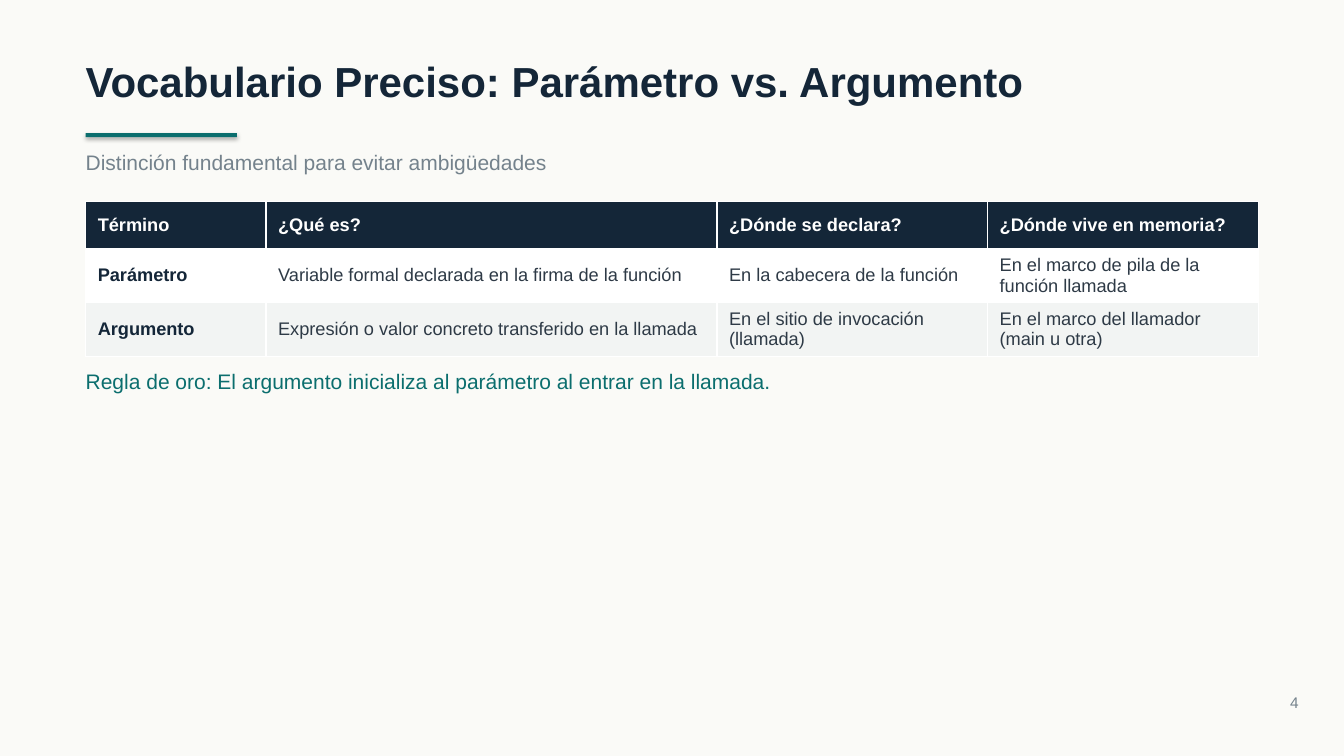
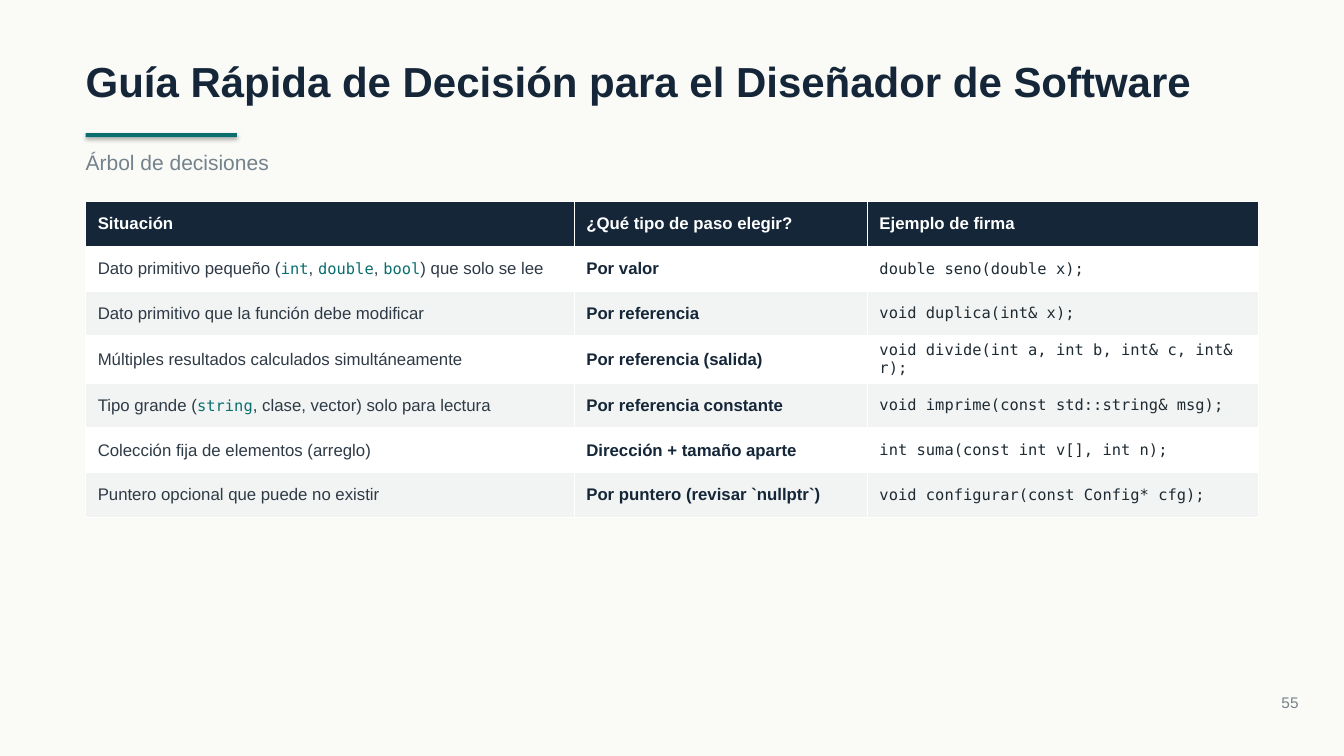
import pptx
import pptx.dml.color
import pptx.enum.shapes
import pptx.enum.text
import pptx.oxml
import pptx.oxml.ns
import pptx.util

Inches = pptx.util.Inches
RGBColor = pptx.dml.color.RGBColor
PP_ALIGN = pptx.enum.text.PP_ALIGN

CREAM = RGBColor(0xFA, 0xFA, 0xF7)
NAVY = RGBColor(0x14, 0x26, 0x38)
TEAL = RGBColor(0x0B, 0x6E, 0x6E)
GRAY = RGBColor(0x74, 0x82, 0x8C)
SLATE = RGBColor(0x2E, 0x3A, 0x46)
INK = RGBColor(0x1E, 0x2B, 0x33)
WHITE = RGBColor(0xFF, 0xFF, 0xFF)
MIST = RGBColor(0xF2, 0xF4, 0xF3)

SANS = "Arial"
MONO = "DejaVu Sans Mono"
LEFT = 0.85
WIDTH = 11.63
TABLE_TOP = 2


def add_span(para, text, size=12, color=SLATE, bold=False, font=SANS):
    span = para.add_run()
    span.text = text
    span.font.size = pptx.util.Pt(size)
    span.font.name = font
    span.font.bold = bold
    span.font.color.rgb = color


def add_borders(cell):
    properties = cell._tc.get_or_add_tcPr()
    for side in ("lnL", "lnR", "lnT", "lnB"):
        properties.append(pptx.oxml.parse_xml(
            f'<a:{side} {pptx.oxml.ns.nsdecls("a")} w="12192"><a:solidFill>'
            f'<a:srgbClr val="{WHITE}"/></a:solidFill></a:{side}>'))


class Slides:
    """Holds the deck, its style and the current page."""

    def __init__(self):
        self.deck = pptx.Presentation()
        self.deck.slide_width = Inches(13.33)
        self.deck.slide_height = Inches(7.5)
        self.page = None

    def start_page(self, title, subtitle, number):
        self.page = self.deck.slides.add_slide(self.deck.slide_layouts[6])
        background = self.page.background.fill
        background.solid()
        background.fore_color.rgb = CREAM
        self.text(title, 0.55, height=0.5, size=30, color=NAVY, bold=True)
        self.accent_bar()
        self.text(subtitle, 1.48, size=15, color=GRAY)
        self.text(str(number), 6.88, left=11.98, width=0.9, height=0.18,
                  align=PP_ALIGN.RIGHT, size=11, color=GRAY)

    def text(self, text, top, left=LEFT, width=WIDTH, height=0.25,
             align=PP_ALIGN.LEFT, **style):
        box = self.page.shapes.add_textbox(
            Inches(left), Inches(top), Inches(width), Inches(height))
        frame = box.text_frame
        frame.word_wrap = True
        frame.auto_size = pptx.enum.text.MSO_AUTO_SIZE.SHAPE_TO_FIT_TEXT
        frame.margin_left = frame.margin_right = 0
        frame.margin_top = frame.margin_bottom = 0
        para = frame.paragraphs[0]
        para.alignment = align
        add_span(para, text, **style)

    def accent_bar(self):
        """Draws the bar under the title, with the soft shadow of the theme."""
        bar = self.page.shapes.add_shape(
            pptx.enum.shapes.MSO_SHAPE.RECTANGLE,
            Inches(LEFT), Inches(1.32), Inches(1.5), Inches(0.04))
        bar.fill.solid()
        bar.fill.fore_color.rgb = TEAL
        bar.line.fill.background()

    def table(self, rows, height, shares, styles, size):
        """Takes column widths as shares and one body style per column."""
        table = self.page.shapes.add_table(
            len(rows), len(shares), Inches(LEFT), Inches(TABLE_TOP),
            Inches(WIDTH), Inches(height)).table
        for column, share in zip(table.columns, shares):
            column.width = Inches(WIDTH * share / sum(shares))
        for row in table.rows:
            row.height = Inches(height / len(rows))
        header = dict(color=WHITE, bold=True)
        for i, row in enumerate(rows):
            fill = NAVY if i == 0 else WHITE if i % 2 else MIST
            for j, content in enumerate(row):
                style = header if i == 0 else styles[j]
                self.cell(table.cell(i, j), content, fill,
                          {"size": size, **style})

    def cell(self, cell, content, fill, style):
        """Fills a cell; in a tuple every second part is inline code."""
        cell.margin_left = cell.margin_right = Inches(0.12)
        cell.margin_top = cell.margin_bottom = Inches(0.05)
        cell.vertical_anchor = pptx.enum.text.MSO_ANCHOR.MIDDLE
        add_borders(cell)
        cell.fill.solid()
        cell.fill.fore_color.rgb = fill
        para = cell.text_frame.paragraphs[0]
        parts = content if isinstance(content, tuple) else (content,)
        for k, part in enumerate(parts):
            add_span(para, part, **(INLINE_CODE if k % 2 else style))


INLINE_CODE = dict(size=11, color=TEAL, font=MONO)
KEY = dict(color=NAVY, bold=True)
BODY = dict(color=SLATE)
SIGNATURE = dict(size=11, color=INK, font=MONO)

TERMS = [
    ("Término", "¿Qué es?", "¿Dónde se declara?", "¿Dónde vive en memoria?"),
    ("Parámetro", "Variable formal declarada en la firma de la función",
     "En la cabecera de la función",
     "En el marco de pila de la función llamada"),
    ("Argumento", "Expresión o valor concreto transferido en la llamada",
     "En el sitio de invocación (llamada)",
     "En el marco del llamador (main u otra)"),
]

DECISIONS = [
    ("Situación", "¿Qué tipo de paso elegir?", "Ejemplo de firma"),
    (("Dato primitivo pequeño (", "int", ", ", "double", ", ", "bool",
      ") que solo se lee"), "Por valor", "double seno(double x);"),
    ("Dato primitivo que la función debe modificar", "Por referencia",
     "void duplica(int& x);"),
    ("Múltiples resultados calculados simultáneamente",
     "Por referencia (salida)",
     "void divide(int a, int b, int& c, int& r);"),
    (("Tipo grande (", "string", ", clase, vector) solo para lectura"),
     "Por referencia constante", "void imprime(const std::string& msg);"),
    ("Colección fija de elementos (arreglo)", "Dirección + tamaño aparte",
     "int suma(const int v[], int n);"),
    ("Puntero opcional que puede no existir",
     "Por puntero (revisar `nullptr`)",
     "void configurar(const Config* cfg);"),
]


def main():
    slides = Slides()

    slides.start_page("Vocabulario Preciso: Parámetro vs. Argumento",
                      "Distinción fundamental para evitar ambigüedades", 4)
    slides.table(TERMS, height=1.4, shares=(2, 5, 3, 3),
                 styles=(KEY, BODY, BODY, BODY), size=13)
    slides.text("Regla de oro: El argumento inicializa al parámetro "
                "al entrar en la llamada.", 3.66, size=15, color=TEAL)

    slides.start_page("Guía Rápida de Decisión para el Diseñador de Software",
                      "Árbol de decisiones", 55)
    slides.table(DECISIONS, height=3.11, shares=(5, 3, 4),
                 styles=(BODY, KEY, SIGNATURE), size=12)

    slides.deck.save("out.pptx")


if __name__ == "__main__":
    main()
